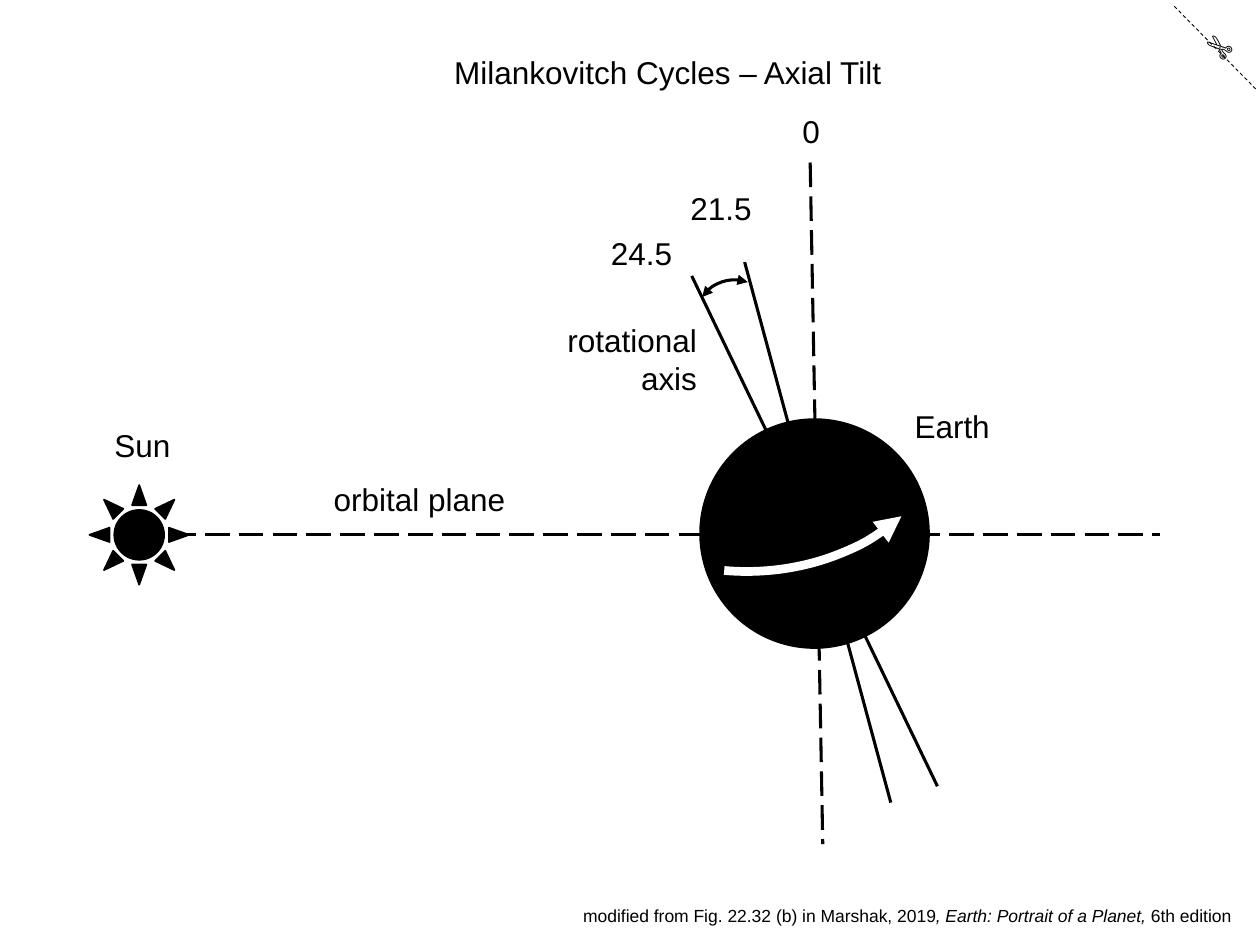
from lxml import etree
from pptx import Presentation
from pptx import util as u
from pptx.dml.color import RGBColor
from pptx.enum import dml, shapes, text
from pptx.oxml.ns import qn

BLACK = RGBColor(0x00, 0x00, 0x00)
WHITE = RGBColor(0xFF, 0xFF, 0xFF)
LONG_DASH = dml.MSO_LINE.LONG_DASH
DASH = dml.MSO_LINE.DASH
LEFT, CENTER, RIGHT = text.PP_ALIGN.LEFT, text.PP_ALIGN.CENTER, text.PP_ALIGN.RIGHT
AXIS_WIDTH = 1.75

presentation = Presentation()
presentation.slide_width = u.Inches(10)
presentation.slide_height = u.Inches(7.5)
slide = presentation.slides.add_slide(presentation.slide_layouts[6])


def add_line(start, end, width=AXIS_WIDTH, dash=None):
    connector = slide.shapes.add_connector(
        shapes.MSO_CONNECTOR.STRAIGHT, *map(u.Inches, start + end))
    connector.line.color.rgb = BLACK
    connector.line.width = u.Pt(width)
    if dash:
        connector.line.dash_style = dash
    etree.SubElement(connector._element.spPr, qn("a:effectLst"))


def add_shape(kind, box, fill=None, line=None, width=1, rotation=0, angles=(), arrows=()):
    shape = slide.shapes.add_shape(kind, *map(u.Inches, box))
    shape.shadow.inherit = False
    shape.rotation = rotation
    for index, angle in enumerate(angles):
        shape.adjustments[index] = angle
    for part, color in ((shape.fill, fill), (shape.line.fill, line)):
        if color is None:
            part.background()
        else:
            part.solid()
            part.fore_color.rgb = color
    if line is not None:
        shape.line.width = u.Pt(width)
    for arrow in arrows:
        etree.SubElement(shape.line._get_or_add_ln(), qn(f"a:{arrow}"), type="triangle")


# Vertical reference and cutting line
add_line((6.43, 1.29), (6.53, 6.7), dash=LONG_DASH)
add_line((9.32, 0.05), (9.98, 0.72), width=0.5, dash=DASH)

# Labels: box, runs as (wording, italic), size, alignment, wrap, rotation
labels = [
    ((9.46, 0.18, 0.42, 0.4), [("✄", False)], 18, LEFT, True, 220.5),
    ((4.53, 7.13, 5.47, 0.27),
     [("modified from Fig. 22.32 (b) in Marshak, 2019", False),
      (", Earth: Portrait of a Planet, ", True),
      ("6th edition", False)], 10, LEFT, True, 0),
    ((2.85, 0.37, 4.9, 0.4), [("Milankovitch Cycles – Axial Tilt", False)], 18, CENTER, True, 0),
    ((0.81, 3.33, 0.65, 0.4), [("Sun", False)], 18, LEFT, False, 0),
    ((7.16, 3.18, 0.81, 0.4), [("Earth", False)], 18, LEFT, False, 0),
    ((2.55, 3.76, 1.58, 0.4), [("orbital plane", False)], 18, LEFT, False, 0),
    ((6.27, 0.84, 0.34, 0.4), [("0", False)], 18, LEFT, False, 0),
    ((5.38, 1.45, 0.69, 0.4), [("21.5", False)], 18, LEFT, False, 0),
    ((4.75, 1.81, 0.69, 0.4), [("24.5", False)], 18, LEFT, False, 0),
    ((4.22, 2.5, 1.41, 0.71), [("rotational axis", False)], 18, RIGHT, True, 0),
]
for box, runs, size, alignment, wrap, rotation in labels:
    label = slide.shapes.add_textbox(*map(u.Inches, box))
    label.rotation = rotation
    label.text_frame.word_wrap = wrap
    label.text_frame.auto_size = text.MSO_AUTO_SIZE.SHAPE_TO_FIT_TEXT
    paragraph = label.text_frame.paragraphs[0]
    paragraph.alignment = alignment
    for wording, italic in runs:
        run = paragraph.add_run()
        run.text = wording
        run.font.color.rgb = BLACK
        font_format = {"name": "Arial", "size": u.Pt(size), "italic": italic}
        for name, value in font_format.items():
            setattr(run.font, name, value)

# Sun and orbital plane
add_shape(shapes.MSO_SHAPE.SUN, (0.71, 3.85, 0.79, 0.79), fill=BLACK, line=BLACK)
add_line((1.09, 4.24), (9.21, 4.24), dash=LONG_DASH)

# Rotational axes at both extremes, with the swing between them
add_line((5.49, 2.19), (7.44, 6.24))
add_line((5.91, 2.08), (7.07, 6.37))
add_shape(shapes.MSO_SHAPE.ARC, (5.52, 2.22, 0.62, 0.62), line=BLACK, width=AXIS_WIDTH,
          rotation=303.9, angles=(162, 207.54), arrows=("headEnd", "tailEnd"))

# Earth and its direction of spin
add_shape(shapes.MSO_SHAPE.OVAL, (5.55, 3.32, 1.83, 1.83), fill=BLACK)
add_shape(shapes.MSO_SHAPE.ARC, (4.41, 1.31, 2.96, 3.49), line=WHITE, width=5,
          rotation=93.7, angles=(183.49, 1.09), arrows=("headEnd",))

presentation.save("out.pptx")
